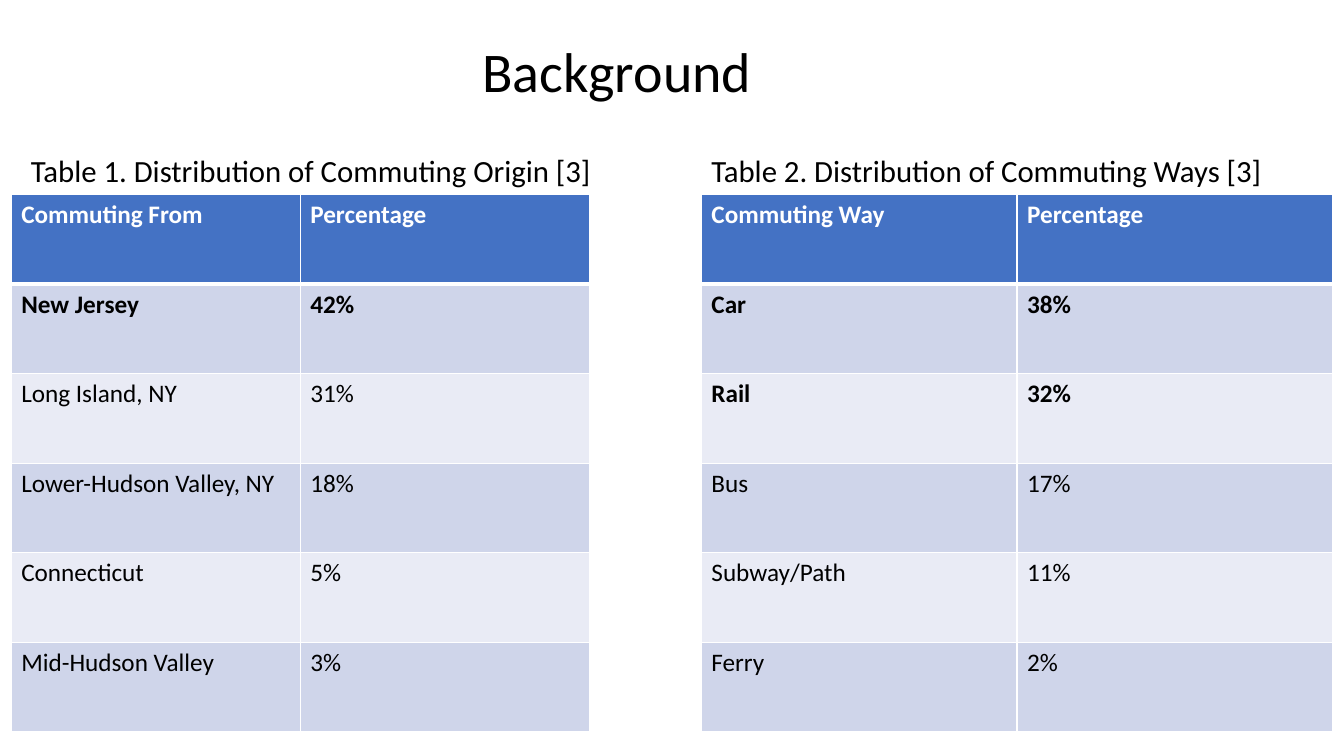
from dataclasses import dataclass
from lxml import etree
from pptx import Presentation, util as u
from pptx.dml.color import RGBColor
from pptx.enum import text
from pptx.oxml.ns import qn


@dataclass(frozen=True)
class Theme:
    font: str = "Calibri"
    title_size: float = 40
    caption_size: float = 22
    cell_size: float = 18
    ink: str = "000000"
    paper: str = "FFFFFF"
    header: str = "4472C4"
    bands: tuple = ("CFD5EA", "E9EBF5")
    rule: float = 1
    header_rule: float = 3


THEME = Theme()
CAPTION_HEIGHT = 34

# Rows whose third value is True are emphasised
ORIGINS = [
    ("Commuting From", "Percentage", True),
    ("New Jersey", "42%", True),
    ("Long Island, NY", "31%", False),
    ("Lower-Hudson Valley, NY", "18%", False),
    ("Connecticut", "5%", False),
    ("Mid-Hudson Valley", "3%", False),
]
WAYS = [
    ("Commuting Way", "Percentage", True),
    ("Car", "38%", True),
    ("Rail", "32%", True),
    ("Bus", "17%", False),
    ("Subway/Path", "11%", False),
    ("Ferry", "2%", False),
]


def write(frame, words, size, color=THEME.ink, bold=False):
    span = frame.paragraphs[0].add_run()
    span.text = words
    span.font.name = THEME.font
    span.font.size = u.Pt(size)
    span.font.bold = bold
    span.font.color.rgb = RGBColor.from_string(color)


def add_label(page, box, words, size):
    frame = page.shapes.add_textbox(*(u.Pt(length) for length in box)).text_frame
    frame.word_wrap = True
    frame.auto_size = text.MSO_AUTO_SIZE.SHAPE_TO_FIT_TEXT
    write(frame, words, size)


def set_borders(cell, top, bottom):
    # Border lines must come before the fill in the cell properties
    properties = cell._tc.get_or_add_tcPr()
    widths = {"a:lnL": THEME.rule, "a:lnR": THEME.rule, "a:lnT": top, "a:lnB": bottom}
    for place, (tag, width) in enumerate(widths.items()):
        line = etree.Element(qn(tag), w=str(int(u.Pt(width))))
        fill = etree.SubElement(line, qn("a:solidFill"))
        etree.SubElement(fill, qn("a:srgbClr"), val=THEME.paper)
        properties.insert(place, line)


def add_data_table(page, box, rows):
    left, top, width, height = box
    table = page.shapes.add_table(
        len(rows), 2, u.Pt(left), u.Pt(top), u.Pt(width), u.Pt(height)).table
    for column in table.columns:
        column.width = u.Pt(width / 2)
    for index, (name, share, bold) in enumerate(rows):
        table.rows[index].height = u.Pt(height / len(rows))
        is_header = index == 0
        shade = THEME.header if is_header else THEME.bands[(index - 1) % 2]
        color = THEME.paper if is_header else THEME.ink
        above = THEME.header_rule if index == 1 else THEME.rule
        below = THEME.header_rule if is_header else THEME.rule
        for cell, words in zip(table.rows[index].cells, (name, share)):
            cell.fill.solid()
            cell.fill.fore_color.rgb = RGBColor.from_string(shade)
            set_borders(cell, above, below)
            write(cell.text_frame, words, THEME.cell_size, color, bold)


def add_captioned_table(page, box, caption, rows, indent, caption_width):
    left, top, width, height = box
    caption_box = (left + indent, top, caption_width, CAPTION_HEIGHT)
    add_label(page, caption_box, caption, THEME.caption_size)
    table_box = (left, top + CAPTION_HEIGHT, width, height - CAPTION_HEIGHT)
    add_data_table(page, table_box, rows)


def add_background_slide(deck):
    page = deck.slides.add_slide(deck.slide_layouts[6])
    # Title
    add_label(page, (337.5, 22.5, 221, 55.5), "Background", THEME.title_size)
    # Two tables side by side
    add_captioned_table(page, (8, 105, 413, 418),
                        "Table 1. Distribution of Commuting Origin [3]",
                        ORIGINS, indent=7, caption_width=418)
    add_captioned_table(page, (501, 105, 451, 418),
                        "Table 2. Distribution of Commuting Ways [3]",
                        WAYS, indent=0, caption_width=425)


def main():
    deck = Presentation()
    deck.slide_width, deck.slide_height = u.Pt(960), u.Pt(540)
    add_background_slide(deck)
    deck.save("out.pptx")


if __name__ == "__main__":
    main()
